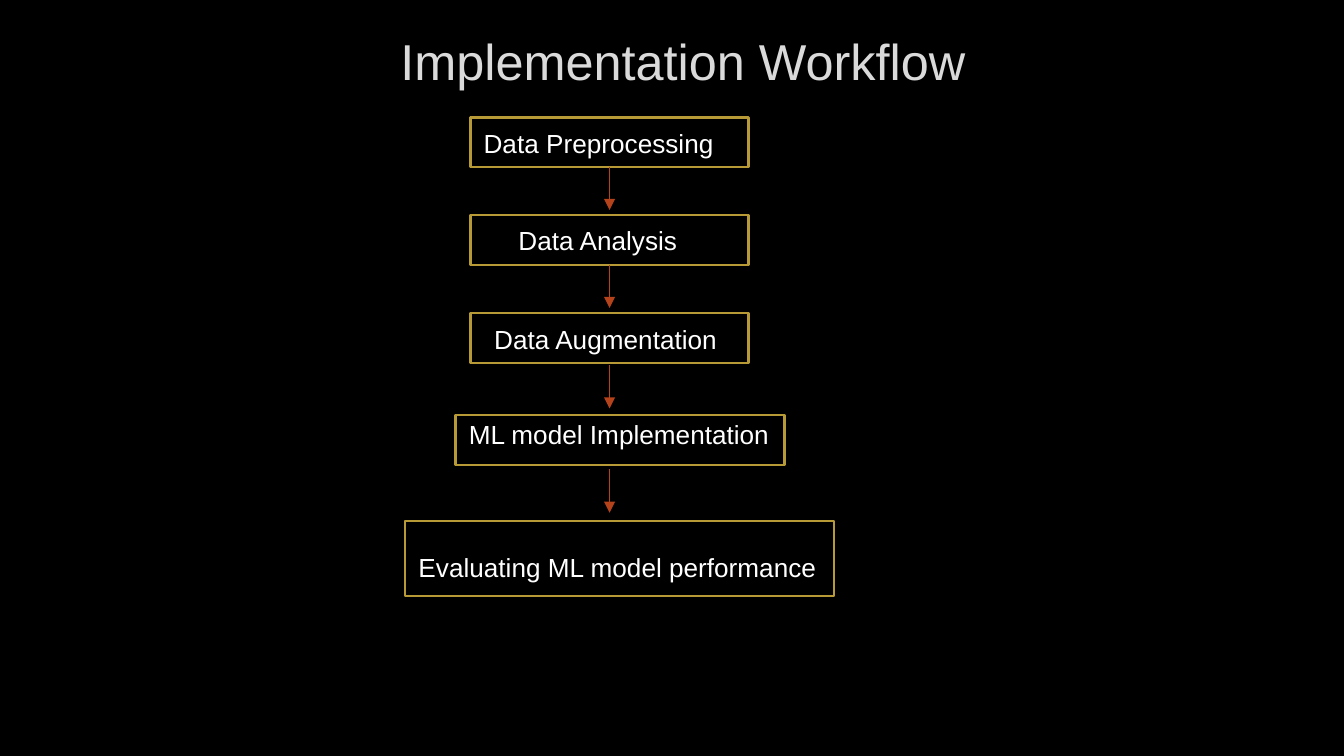
"""Build the Implementation Workflow slide: five stages joined by arrows."""
from dataclasses import dataclass

from pptx import Presentation
from pptx.dml.color import RGBColor
from pptx.enum.shapes import MSO_CONNECTOR, MSO_SHAPE
from pptx.enum.text import MSO_ANCHOR, MSO_AUTO_SIZE, PP_ALIGN
from pptx.oxml.ns import qn
from pptx.util import Cm, Pt
from lxml.etree import SubElement


@dataclass(frozen=True)
class Theme:
    font: str = "Arial"
    background: RGBColor = RGBColor(0x00, 0x00, 0x00)
    title: RGBColor = RGBColor(0xDA, 0xDA, 0xDA)
    label: RGBColor = RGBColor(0xFF, 0xFF, 0xFF)
    border: RGBColor = RGBColor(0xB7, 0x99, 0x35)
    arrow: RGBColor = RGBColor(0xB4, 0x42, 0x1A)
    title_size: Pt = Pt(27)
    label_size: Pt = Pt(14)
    border_width: Pt = Pt(1.25)
    arrow_width: Pt = Pt(0.75)


theme = Theme()


def write_text(text_frame, text, size, color):
    text_frame.text = text
    text_frame.word_wrap = True
    font = text_frame.paragraphs[0].runs[0].font
    font.name = theme.font
    font.size = size
    font.color.rgb = color


presentation = Presentation()
presentation.slide_width = Cm(25.4)
presentation.slide_height = Cm(14.29)
slide = presentation.slides.add_slide(presentation.slide_layouts[5])
slide.background.fill.solid()
slide.background.fill.fore_color.rgb = theme.background

title = slide.shapes.title
title.left, title.top, title.width, title.height = Cm(1.07), Cm(0.2), Cm(23.67), Cm(1.6)
write_text(title.text_frame, "Implementation Workflow", theme.title_size, theme.title)
title.text_frame.auto_size = MSO_AUTO_SIZE.NONE
title.text_frame.vertical_anchor = MSO_ANCHOR.TOP
title.text_frame.margin_top = Cm(0.36)
title.text_frame.margin_bottom = Cm(0.15)
title.text_frame.paragraphs[0].alignment = PP_ALIGN.CENTER

# text, box left, top, width, height, label left, label top
stages = [
    ("Data Preprocessing", 8.89, 2.22, 5.26, 0.94, 8.89, 2.29),
    ("Data Analysis", 8.89, 4.07, 5.26, 0.94, 9.55, 4.11),
    ("Data Augmentation", 8.89, 5.92, 5.26, 0.94, 9.09, 5.99),
    ("ML model Implementation", 8.61, 7.85, 6.22, 0.94, 8.61, 7.78),
    ("Evaluating ML model performance", 7.66, 9.85, 8.1, 1.42, 7.66, 10.29),
]
for text, left, top, width, height, label_left, label_top in stages:
    box = slide.shapes.add_shape(
        MSO_SHAPE.RECTANGLE, Cm(left), Cm(top), Cm(width), Cm(height))
    box.shadow.inherit = False
    box.fill.background()
    box.line.color.rgb = theme.border
    box.line.width = theme.border_width

    label = slide.shapes.add_textbox(Cm(label_left), Cm(label_top), Cm(width), Cm(0.86))
    write_text(label.text_frame, text, theme.label_size, theme.label)

arrow_x = Cm(11.52)
for start in (3.15, 5, 6.9, 8.87):
    arrow = slide.shapes.add_connector(
        MSO_CONNECTOR.STRAIGHT, arrow_x, Cm(start), arrow_x, Cm(start + 0.82))
    arrow.line.color.rgb = theme.arrow
    arrow.line.width = theme.arrow_width
    SubElement(arrow.line._get_or_add_ln(), qn("a:tailEnd"), type="triangle")
    SubElement(arrow._element.spPr, qn("a:effectLst"))

presentation.save("out.pptx")
